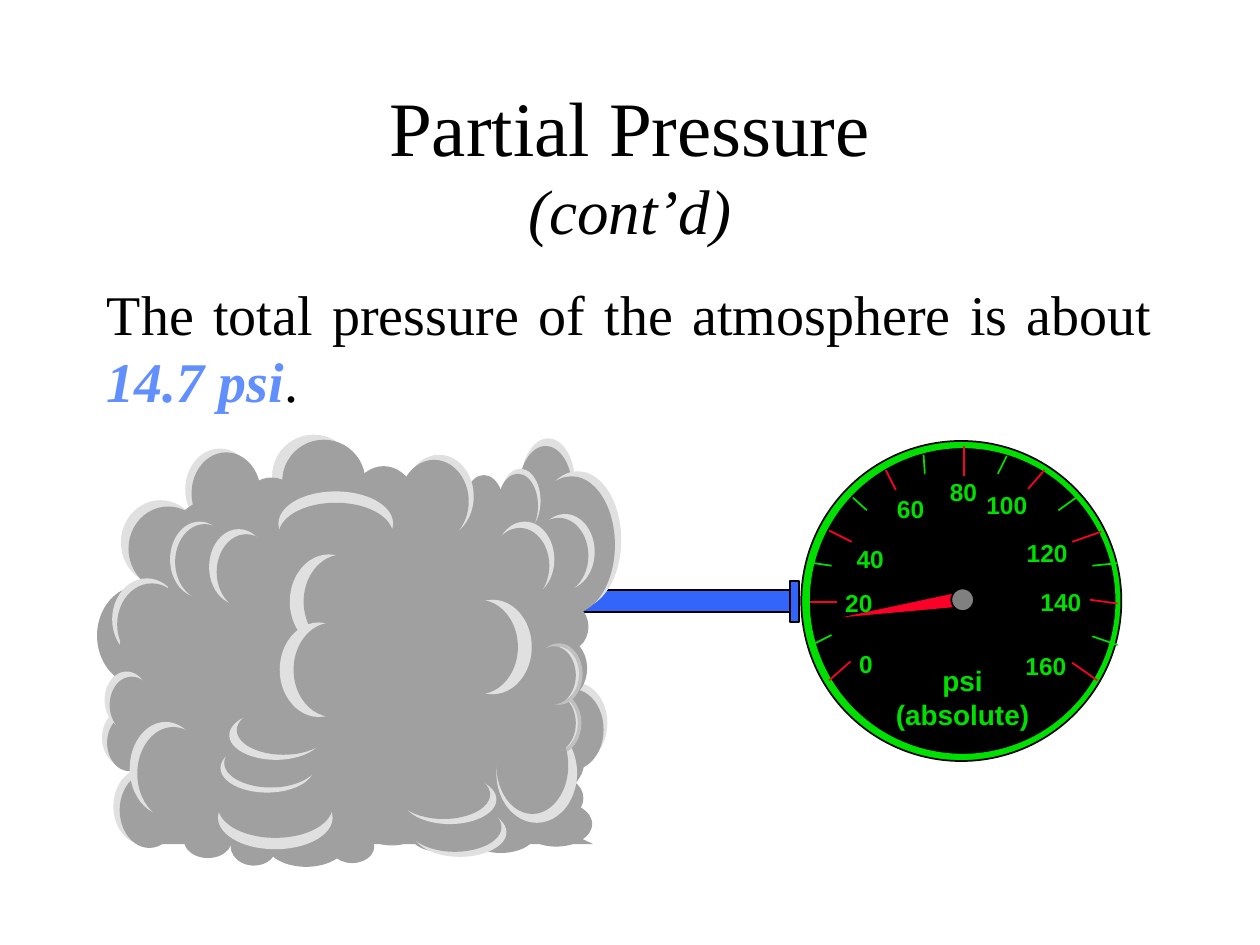
from lxml import etree
from pptx import Presentation
from pptx import util as u
from pptx.dml import color as dml
from pptx.enum import shapes as kinds, text as txt
from pptx.oxml import ns

SCALE = 9144
BLACK, GREEN, RED, BLUE = "000000", "00E000", "FC0128", "3365FB"
BODY, RIM, HUB, EDGE = "A0A0A0", "E0E0E0", "808080", "C0C0C0"
OVAL, RECT = kinds.MSO_SHAPE.OVAL, kinds.MSO_SHAPE.RECTANGLE

MAJOR_TICKS = [
    (887, 479, 865, 476), (643, 478, 664, 478), (765, 378, 765, 354),
    (703, 373, 711, 389), (658, 421, 676, 430), (658, 540, 675, 525),
    (829, 373, 816, 388), (874, 422, 851, 430), (871, 540, 851, 526),
]
MINOR_TICKS = [
    (646, 447, 660, 449), (677, 395, 688, 405), (733, 361, 734, 376),
    (646, 511, 660, 504), (887, 447, 867, 449), (854, 395, 840, 405),
    (799, 362, 792, 376), (887, 512, 867, 505),
]
READINGS = [
    ("160", 804, 512, 54), ("140", 816, 461, 54), ("120", 805, 422, 54),
    ("100", 773, 384, 54), ("80", 744, 374, 42), ("60", 702, 387, 42),
    ("40", 670, 427, 42), ("20", 661, 462, 42), ("0", 672, 510, 32),
]
NEEDLE = [(767, 481), (762, 470), (668, 490)]
CLOUD_BASE = [(439, 655), (471, 670), (120, 670), (120, 655)]
CLOUD_CORE = [
    (133, 441), (135, 539), (100, 563), (134, 668), (279, 668), (313, 651),
    (366, 659), (428, 653), (448, 466), (411, 400), (160, 396),
]
SIDE_PUFFS = [
    (433, 542, 49, 64, -3, 5), (77, 465, 68, 79), (96, 397, 63, 67, 6, 5),
    (89, 459, 55, 65, 4, 4),
]
OUTER_PUFFS = [
    (414, 348, 42, 67, -2, 6), (424, 374, 69, 109, -5, 4), (440, 480, 27, 35),
    (430, 507, 36, 47), (211, 650, 64, 38), (183, 656, 37, 31),
    (262, 659, 35, 26), (146, 653, 38, 28), (94, 490, 47, 60),
    (99, 496, 47, 60), (147, 356, 55, 65, 5, 3), (216, 345, 66, 66, 8, 4),
    (81, 563, 35, 45, 4, 4), (83, 533, 35, 45, 4, 4), (135, 398, 57, 73),
    (187, 379, 57, 73), (276, 370, 57, 73), (90, 610, 47, 60, 5, 3),
    (103, 573, 57, 74, 6, 4), (173, 624, 91, 50, 0, -9), (288, 646, 46, 25),
    (326, 650, 46, 26), (370, 646, 55, 31), (413, 636, 57, 36),
    (431, 618, 32, 31), (428, 579, 36, 47), (425, 408, 47, 60, -5, 3),
    (397, 372, 32, 51, -2, 4), (368, 377, 32, 51), (321, 361, 55, 66, -4, 4),
    (393, 414, 47, 60, -4, 5),
]
LOWER_RIM = (394, 574, 64, 79)
INNER_PUFFS = [
    (425, 551, 35, 46, -3, 0, EDGE), (394, 569, 57, 77),
    (426, 512, 35, 46, -4, 1, EDGE), (135, 414, 47, 60, 4, 2),
    (166, 420, 47, 60, 6, 4), (175, 590, 74, 39, 3, -4),
    (182, 564, 74, 39, 6, -4), (328, 641, 74, 39, -4, -4),
    (320, 615, 74, 39, -5, -4), (221, 390, 91, 51, 0, 9),
    (360, 476, 62, 75, -11, 0), (230, 440, 62, 75, 11, 0),
    (222, 494, 62, 75, 11, 0),
]


def px(value):
    """Turn px into EMU."""
    return u.Emu(value * SCALE)


def rgb(code):
    """Turn a hex string into a colour."""
    return dml.RGBColor.from_string(code)


def paint(shape, fill, line=None, weight=1):
    """Give a shape its fill and outline and no shadow."""
    shape.shadow.inherit = False
    shape.fill.solid()
    shape.fill.fore_color.rgb = rgb(fill)
    if line:
        shape.line.color.rgb = rgb(line)
        shape.line.width = u.Pt(weight)
    else:
        shape.line.fill.background()


def preset(parent, kind, box, fill, line=None, weight=1):
    """Add a preset shape."""
    paint(parent.add_shape(kind, *map(px, box)), fill, line, weight)


def outline(parent, points, fill):
    """Add a closed polygon."""
    builder = parent.build_freeform(*points[0], scale=SCALE)
    builder.add_line_segments(points[1:], close=True)
    paint(builder.convert_to_shape(), fill)


def tick(parent, ends, color):
    """Add a gauge tick."""
    mark = parent.add_connector(kinds.MSO_CONNECTOR.STRAIGHT, *map(px, ends))
    mark.line.color.rgb = rgb(color)
    mark.line.width = u.Pt(1)
    etree.SubElement(mark._element.spPr, ns.qn("a:effectLst"))


def write(parent, box, paragraphs, *, size, font, color=BLACK, bold=False,
          align="LEFT", anchor="TOP", before=0, wrap=True):
    """Add text whose paragraphs are lists of (words, run format) pairs."""
    frame = parent.add_textbox(*map(px, box)).text_frame
    frame.word_wrap = wrap
    frame.vertical_anchor = txt.MSO_ANCHOR[anchor]
    for index, runs in enumerate(paragraphs):
        paragraph = frame.add_paragraph() if index else frame.paragraphs[0]
        paragraph.alignment = txt.PP_ALIGN[align]
        paragraph.space_before = u.Pt(before)
        for words, style in runs:
            if words == "\n":
                paragraph.add_line_break()
                continue
            run = paragraph.add_run()
            run.text = words
            run.font.name = font
            run.font.size = u.Pt(style.get("size", size))
            run.font.bold = style.get("bold", bold)
            run.font.italic = style.get("italic", False)
            run.font.color.rgb = rgb(style.get("color", color))


def gauge(parent):
    """Draw the pressure gauge."""
    preset(parent, OVAL, (636, 350, 254, 254), GREEN, BLACK)
    preset(parent, OVAL, (642, 355, 244, 244), BLACK, GREEN)
    for ticks, color in ((MAJOR_TICKS, RED), (MINOR_TICKS, GREEN)):
        for ends in ticks:
            tick(parent, ends, color)
    preset(parent, OVAL, (757, 470, 14, 14), GREEN)
    outline(parent, NEEDLE, RED)
    preset(parent, OVAL, (755, 467, 18, 18), HUB, BLACK)
    label = dict(font="Arial", color=GREEN, bold=True, wrap=False)
    write(parent, (701, 522, 126, 63), [[("psi", {})], [("(absolute)", {})]],
          size=16, align="CENTER", **label)
    for reading, left, top, width in READINGS:
        write(parent, (left, top, width, 33), [[(reading, {})]], size=14, **label)


def pipe(parent):
    """Draw the pipe and its flange."""
    for box in ((457, 468, 172, 18), (627, 461, 7, 33)):
        preset(parent, RECT, box, BLUE, BLACK)


def puffs(parent, rows):
    """Draw puffs, each with a rim behind it where an offset is given."""
    for left, top, width, height, *rim in rows:
        if rim:
            dx, dy, *edge = rim
            preset(parent, OVAL, (left, top, width, height), RIM, *edge, weight=2)
            left, top = left + dx, top + dy
        preset(parent, OVAL, (left, top, width, height), BODY)


def cloud(parent):
    """Draw the cloud from back to front."""
    outline(parent, CLOUD_BASE, BODY)
    puffs(parent, SIDE_PUFFS)
    outline(parent, CLOUD_CORE, BODY)
    puffs(parent, OUTER_PUFFS)
    preset(parent, OVAL, LOWER_RIM, RIM)
    puffs(parent, INNER_PUFFS)


def main():
    """Build and save the slide."""
    deck = Presentation()
    deck.slide_width, deck.slide_height = px(1000), px(750)
    canvas = deck.slides.add_slide(deck.slide_layouts[6]).shapes
    title = [("Partial Pressure", {}), ("\n", {}),
             ("(cont’d)", {"size": 36, "italic": True})]
    write(canvas, (75, 67, 850, 125), [title], size=44, font="Times New Roman",
          align="CENTER", anchor="MIDDLE")
    statement = [("The total pressure of the atmosphere is about ", {}),
                 ("14.7 psi", {"color": "618FFD", "bold": True, "italic": True}),
                 (".", {})]
    write(canvas, (75, 217, 850, 120), [statement], size=32,
          font="Times New Roman", align="JUSTIFY", before=8)
    for draw in (gauge, pipe, cloud):
        draw(canvas.add_group_shape().shapes)
    deck.save("out.pptx")


if __name__ == "__main__":
    main()
